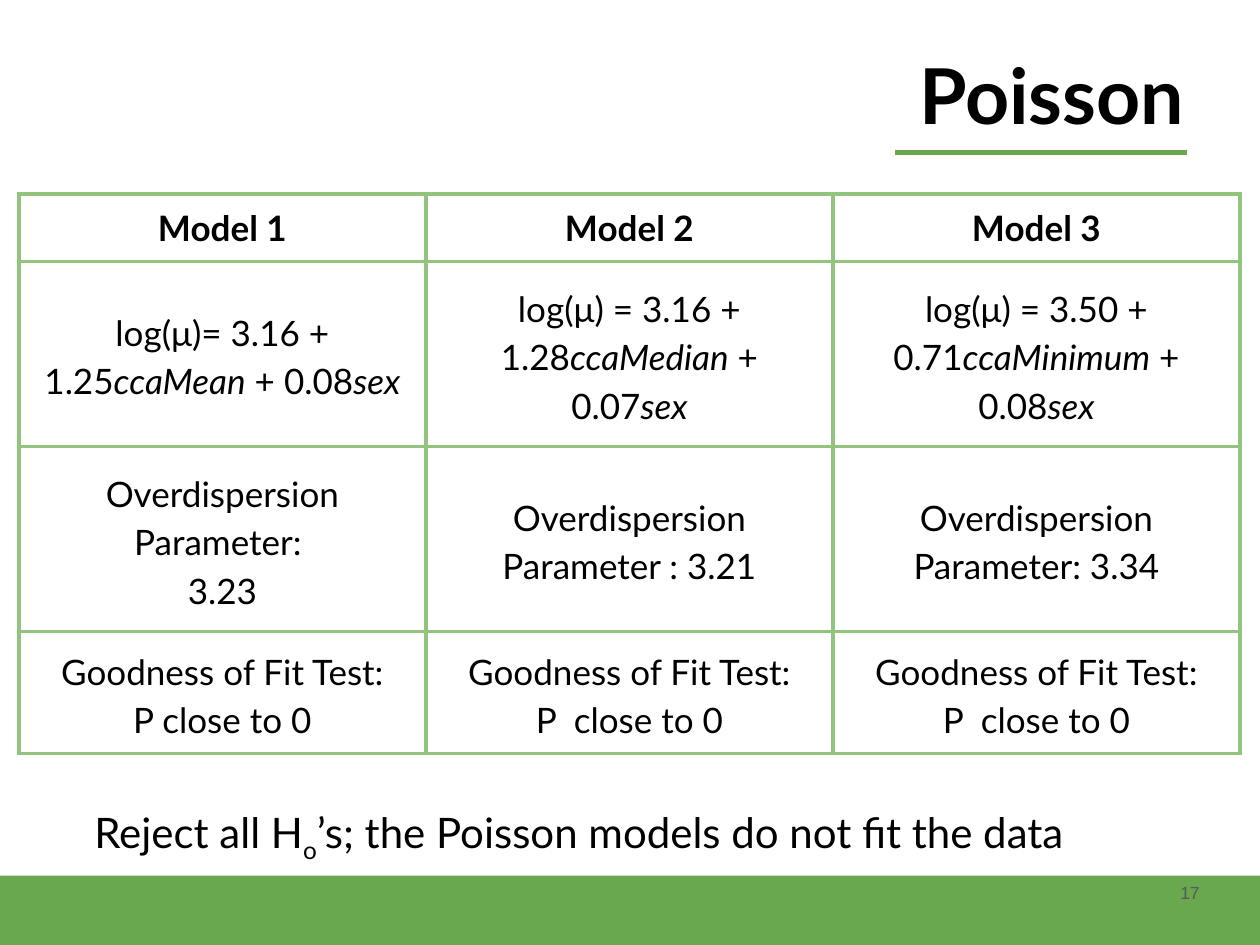
from dataclasses import dataclass

from lxml.etree import SubElement
from pptx import Presentation
from pptx.dml.color import RGBColor
from pptx.enum.shapes import MSO_CONNECTOR, MSO_SHAPE
from pptx.enum.text import MSO_ANCHOR, PP_ALIGN
from pptx.oxml import parse_xml
from pptx.oxml.ns import nsdecls, qn
from pptx.util import Pt


@dataclass(frozen=True)
class Theme:
    font: str = "Lato"
    number_font: str = "Arial"
    ink: str = "000000"
    gray: str = "595959"
    green: str = "6AA84F"
    border: str = "93C47D"
    title_size: int = 44
    table_size: int = 20
    conclusion_size: int = 24
    number_size: int = 10
    border_width: float = 2.25
    inset: float = 7.2
    spacing: float = 1.15


THEME = Theme()

TITLE = "Poisson"
HEADERS = ["Model 1", "Model 2", "Model 3"]
EQUATIONS = [
    [("log(μ)= 3.16 + 1.25", ""), ("ccaMean", "i"), (" + 0.08", ""), ("sex", "i")],
    [("log(μ) = 3.16 + 1.28", ""), ("ccaMedian", "i"), (" + 0.07", ""), ("sex", "i")],
    [("log(μ) = 3.50 + 0.71", ""), ("ccaMinimum", "i"), (" + 0.08", ""), ("sex", "i")],
]
OVERDISPERSION = [
    ["Overdispersion Parameter: ", "3.23"],
    ["Overdispersion Parameter : 3.21"],
    ["Overdispersion Parameter: 3.34"],
]
FIT_TESTS = [
    ["Goodness of Fit Test:", result]
    for result in ("P close to 0", "P  close to 0", "P  close to 0")
]
CONCLUSION = [("Reject all H", ""), ("o", "sub"),
              ("’s; the Poisson models do not fit the data", "")]
PAGE_NUMBER = "17"

PAGE_WIDTH, PAGE_HEIGHT = 720, 540
FOOTER_TOP = 500.4
TABLE_LEFT, TABLE_TOP, COLUMN_WIDTH = 10.8, 110.9, 232.6
ROW_HEIGHTS = [37.8, 105.8, 105.8, 68.4]


def plain(lines, style=""):
    return [[(line, style)] for line in lines]


TABLE_ROWS = [
    [plain([header], "b") for header in HEADERS],
    [[equation] for equation in EQUATIONS],
    [plain(lines) for lines in OVERDISPERSION],
    [plain(lines) for lines in FIT_TESTS],
]


def color(code):
    return RGBColor.from_string(code)


def set_insets(target):
    for side in ("left", "top", "right", "bottom"):
        setattr(target, f"margin_{side}", Pt(THEME.inset))


def write(frame, lines, size, align=PP_ALIGN.LEFT, spacing=None,
          font=THEME.font, ink=THEME.ink):
    for index, spans in enumerate(lines):
        para = frame.paragraphs[0] if index == 0 else frame.add_paragraph()
        para.alignment = align
        if spacing:
            para.line_spacing = spacing
        for text, style in spans:
            span = para.add_run()
            span.text = text
            span.font.name = font
            span.font.size = Pt(size)
            span.font.color.rgb = color(ink)
            span.font.bold = style == "b"
            span.font.italic = style == "i"
            if style == "sub":
                span.font._element.set("baseline", "-25000")


def prepare(frame, anchor):
    frame.word_wrap = True
    frame.vertical_anchor = anchor
    set_insets(frame)
    return frame


def add_text_box(page, left, top, width, height):
    box = page.shapes.add_textbox(Pt(left), Pt(top), Pt(width), Pt(height))
    return prepare(box.text_frame, MSO_ANCHOR.MIDDLE)


def add_borders(cell):
    properties = cell._tc.get_or_add_tcPr()
    for index, side in enumerate(("lnL", "lnR", "lnT", "lnB")):
        properties.insert(index, parse_xml(
            f'<a:{side} {nsdecls("a")} w="{Pt(THEME.border_width)}">'
            f'<a:solidFill><a:srgbClr val="{THEME.border}"/></a:solidFill>'
            f'</a:{side}>'))


def add_footer_band(page):
    band = page.shapes.add_shape(
        MSO_SHAPE.RECTANGLE, 0, Pt(FOOTER_TOP),
        Pt(PAGE_WIDTH), Pt(PAGE_HEIGHT - FOOTER_TOP))
    band.shadow.inherit = False
    band.fill.solid()
    band.fill.fore_color.rgb = color(THEME.green)
    band.line.fill.background()


def add_title(page):
    title = page.shapes.title
    title.left, title.top, title.width, title.height = Pt(36), Pt(20.2), Pt(648), Pt(90)
    frame = prepare(title.text_frame, MSO_ANCHOR.TOP)
    write(frame, plain([TITLE], "b"), THEME.title_size, PP_ALIGN.RIGHT)
    rule = page.shapes.add_connector(
        MSO_CONNECTOR.STRAIGHT, Pt(511.2), Pt(87.1), Pt(678.2), Pt(87.1))
    rule.line.color.rgb = color(THEME.green)
    rule.line.width = Pt(3)
    SubElement(rule._element.spPr, qn("a:effectLst"))


def add_models_table(page):
    table = page.shapes.add_table(
        len(TABLE_ROWS), len(HEADERS), Pt(TABLE_LEFT), Pt(TABLE_TOP),
        Pt(COLUMN_WIDTH * len(HEADERS)), Pt(sum(ROW_HEIGHTS))).table
    table.first_row = table.horz_banding = False
    for column in table.columns:
        column.width = Pt(COLUMN_WIDTH)
    for row_index, (height, contents) in enumerate(zip(ROW_HEIGHTS, TABLE_ROWS)):
        table.rows[row_index].height = Pt(height)
        for column_index, lines in enumerate(contents):
            cell = table.cell(row_index, column_index)
            cell.fill.background()
            cell.vertical_anchor = MSO_ANCHOR.MIDDLE
            set_insets(cell)
            add_borders(cell)
            write(cell.text_frame, lines, THEME.table_size, PP_ALIGN.CENTER,
                  THEME.spacing if row_index else None)


def add_conclusion(page):
    frame = add_text_box(page, 10.8, 455, 690.5, 39.6)
    write(frame, [CONCLUSION], THEME.conclusion_size, spacing=THEME.spacing)
    para = frame.paragraphs[0]
    para.space_after = Pt(16)
    para._p.get_or_add_pPr().set("marL", str(Pt(36)))


def add_page_number(page):
    frame = add_text_box(page, 667.4, 489.6, 43.2, 41)
    write(frame, plain([PAGE_NUMBER]), THEME.number_size,
          font=THEME.number_font, ink=THEME.gray)


def main():
    deck = Presentation()
    deck.slide_width, deck.slide_height = Pt(PAGE_WIDTH), Pt(PAGE_HEIGHT)
    page = deck.slides.add_slide(deck.slide_layouts.get_by_name("Title Only"))
    add_footer_band(page)
    add_title(page)
    add_page_number(page)
    add_models_table(page)
    add_conclusion(page)
    deck.save("out.pptx")


if __name__ == "__main__":
    main()
